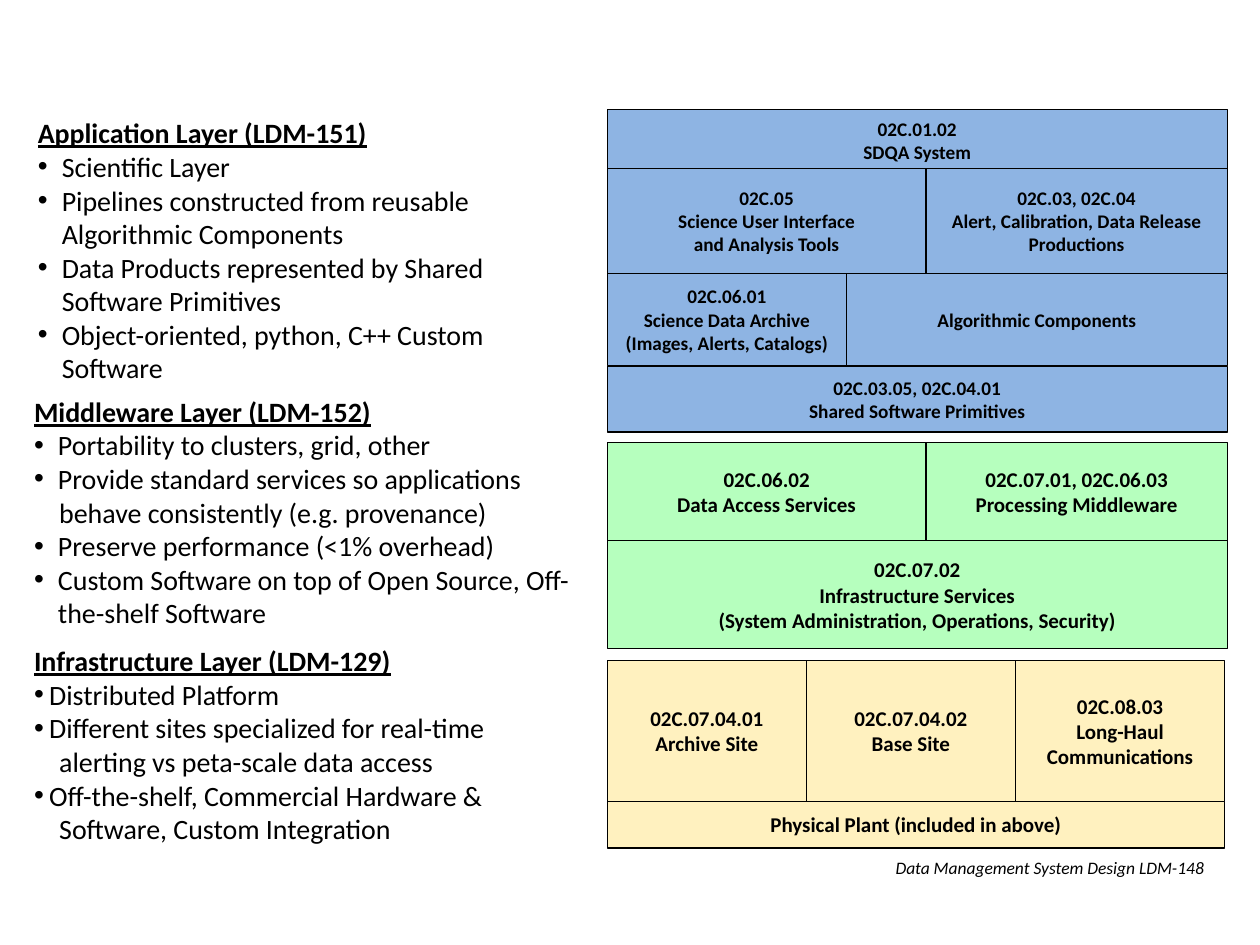
from lxml.etree import SubElement
from pptx import Presentation
from pptx.dml.color import RGBColor
from pptx.enum.shapes import MSO_SHAPE
from pptx.enum.text import MSO_ANCHOR, MSO_AUTO_SIZE, PP_ALIGN
from pptx.oxml.ns import qn
from pptx.util import Inches, Pt

COLORS = {"application": "8EB4E3", "middleware": "B6FFBE",
          "infrastructure": "FFF1BF", "ink": "000000"}


def add_styled_run(paragraph, text, size, bold=False, italic=False, underline=False):
    run = paragraph.add_run()
    run.text = text
    font = run.font
    font.name, font.size = "Calibri", Pt(size)
    font.bold, font.italic, font.underline = bold, italic, underline
    font.color.rgb = RGBColor.from_string(COLORS["ink"])


def set_indent(paragraph, left, first, bullet):
    props = paragraph._p.get_or_add_pPr()
    props.set("marL", str(Inches(left)))
    props.set("indent", str(Inches(first)))
    if bullet:
        SubElement(props, qn("a:buFont"), typeface="Arial")
        SubElement(props, qn("a:buChar"), char="•")
    else:
        SubElement(props, qn("a:buNone"))


prs = Presentation()
prs.slide_width, prs.slide_height = Inches(10), Inches(7.5)
slide = prs.slides.add_slide(prs.slide_layouts[4])

CONTINUED = "continued"
layers = [
    (1, (0.2, 0.87, 4.44, 2.26), 0.19, "Application Layer (LDM-151)", [
        "Scientific Layer",
        "Pipelines constructed from reusable Algorithmic Components",
        "Data Products represented by Shared Software Primitives",
        "Object-oriented, python, C++ Custom Software"]),
    (2, (0.17, 3.08, 4.65, 1.99), 0.19, "Middleware Layer (LDM-152)", [
        "Portability to clusters, grid, other",
        "Provide standard services so applications",
        (CONTINUED, "behave consistently (e.g. provenance)"),
        "Preserve performance (<1% overhead)",
        "Custom Software on top of Open Source, Off-the-shelf Software"]),
    (3, (0.17, 5.06, 4.65, 1.72), 0.12, "Infrastructure Layer (LDM-129)", [
        "Distributed Platform",
        "Different sites specialized for real-time",
        (CONTINUED, "alerting vs peta-scale data access"),
        "Off-the-shelf, Commercial Hardware &",
        (CONTINUED, "Software, Custom Integration")]),
]
bodies = {holder.placeholder_format.idx: holder for holder in slide.placeholders}
for idx, box, hang, heading, points in layers:
    body = bodies.pop(idx)
    body.left, body.top, body.width, body.height = [Inches(v) for v in box]
    frame = body.text_frame
    frame.word_wrap = True
    frame.auto_size = MSO_AUTO_SIZE.NONE
    frame.vertical_anchor = MSO_ANCHOR.TOP
    for number, point in enumerate([heading] + points):
        paragraph = frame.add_paragraph() if number else frame.paragraphs[0]
        paragraph.space_before = Pt(0)
        is_heading = number == 0
        if isinstance(point, tuple):
            set_indent(paragraph, 0.2, 0, False)
            point = point[1]
        else:
            set_indent(paragraph, hang, -hang, not is_heading)
        add_styled_run(paragraph, point, 16, bold=is_heading, underline=is_heading)
for unused in bodies.values():
    unused._element.getparent().remove(unused._element)

LEFT = 4.82
rows = [
    ("application", 11, 0.87, 0.48, [(4.92, ["02C.01.02", "SDQA System"])]),
    ("application", 11, 1.34, 0.83, [
        (2.53, ["02C.05", "Science User Interface", "and Analysis Tools"]),
        (2.39, ["02C.03, 02C.04", "Alert, Calibration, Data Release", "Productions"])]),
    ("application", 11, 2.17, 0.73, [
        (1.9, ["02C.06.01", "Science Data Archive", "(Images, Alerts, Catalogs)"]),
        (3.02, ["Algorithmic Components"])]),
    ("application", 11, 2.91, 0.52, [
        (4.92, ["02C.03.05, 02C.04.01", "Shared Software Primitives"])]),
    ("middleware", 12, 3.51, 0.78, [
        (2.53, ["02C.06.02", "Data Access Services"]),
        (2.39, ["02C.07.01, 02C.06.03", "Processing Middleware"])]),
    ("middleware", 12, 4.29, 0.86, [
        (4.92, ["02C.07.02", "Infrastructure Services",
                "(System Administration, Operations, Security)"])]),
    ("infrastructure", 12, 5.24, 1.12, [
        (1.58, ["02C.07.04.01", "Archive Site"]),
        (1.66, ["02C.07.04.02", "Base Site"]),
        (1.66, ["02C.08.03", "Long-Haul", "Communications"])]),
    ("infrastructure", 12, 6.36, 0.37, [(4.9, ["Physical Plant (included in above)"])]),
]
for layer, size, top, height, components in rows:
    left = LEFT
    for width, lines in components:
        component = slide.shapes.add_shape(
            MSO_SHAPE.RECTANGLE, Inches(left), Inches(top), Inches(width), Inches(height))
        component.shadow.inherit = False
        component.fill.solid()
        component.fill.fore_color.rgb = RGBColor.from_string(COLORS[layer])
        component.line.color.rgb = RGBColor.from_string(COLORS["ink"])
        component.line.width = Pt(0.75)
        frame = component.text_frame
        frame.word_wrap = False
        frame.vertical_anchor = MSO_ANCHOR.MIDDLE
        for number, line in enumerate(lines):
            paragraph = frame.add_paragraph() if number else frame.paragraphs[0]
            paragraph.alignment = PP_ALIGN.CENTER
            add_styled_run(paragraph, line, size, bold=True)
        left += width

reference = slide.shapes.add_textbox(Inches(7.01), Inches(6.75), Inches(2.73), Inches(0.27))
reference.text_frame.word_wrap = False
add_styled_run(reference.text_frame.paragraphs[0],
               "Data Management System Design LDM-148", 10, italic=True)

prs.save("out.pptx")
